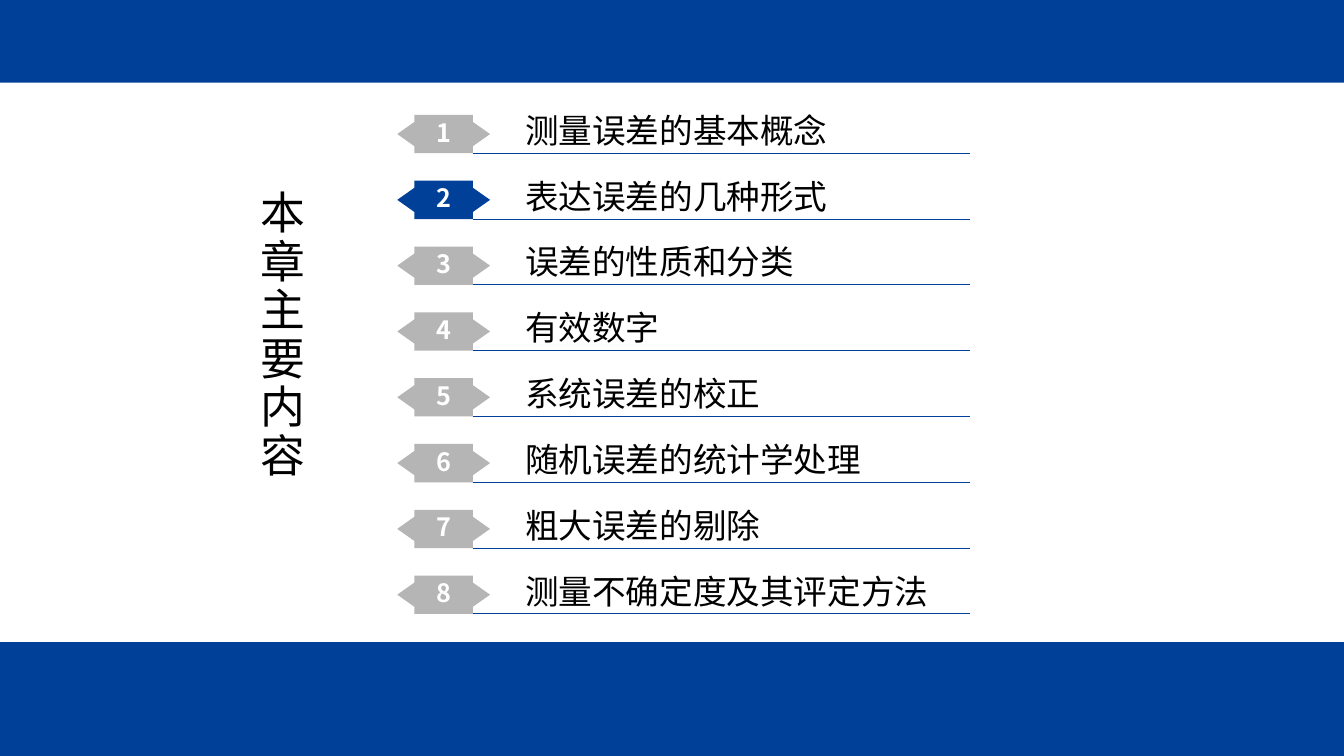
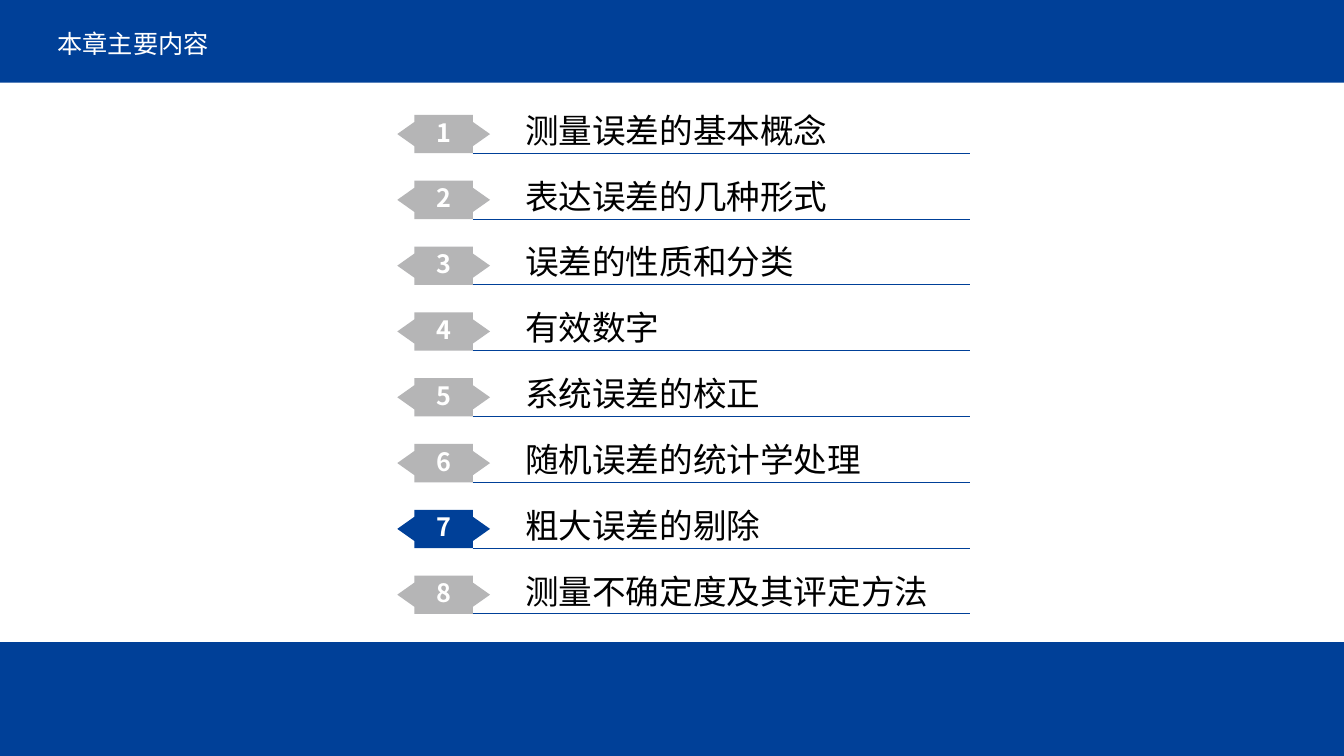
from lxml import etree
from pptx import Presentation
from pptx.dml.color import RGBColor
from pptx.enum.shapes import MSO_CONNECTOR, MSO_SHAPE
from pptx.enum.text import MSO_ANCHOR, MSO_AUTO_SIZE, PP_ALIGN
from pptx.oxml.ns import qn
from pptx.util import Inches, Pt

RECT = MSO_SHAPE.RECTANGLE
STRAIGHT = MSO_CONNECTOR.STRAIGHT
MIDDLE, TOP = MSO_ANCHOR.MIDDLE, MSO_ANCHOR.TOP
LEFT, CENTER = PP_ALIGN.LEFT, PP_ALIGN.CENTER
NO_FIT = MSO_AUTO_SIZE.NONE

COLORS = {"blue": "004098", "gray": "B5B5B6", "white": "FFFFFF", "black": "000000"}
LATIN, CJK = "Times New Roman", "Noto Sans CJK SC"
SLIDE_W, SLIDE_H = 13.33, 7.5
TITLE_ONLY = 5

HEADING = "本章主要内容"
TOPICS = [
    "测量误差的基本概念",
    "表达误差的几种形式",
    "误差的性质和分类",
    "有效数字",
    "系统误差的校正",
    "随机误差的统计学处理",
    "粗大误差的剔除",
    "测量不确定度及其评定方法",
]
AGENDA_BOX = (3.94, 1.14, 5.68, 4.95)
BADGE_W, BADGE_H = 0.92, 0.38
TIP_W, NOTCH_H = 0.17, 0.07


def rgb(name):
    return RGBColor.from_string(COLORS[name])


def paint(sp, color):
    sp.fill.solid()
    sp.fill.fore_color.rgb = rgb(color)
    sp.line.fill.background()
    sp.shadow.inherit = False


def write(sp, text, size, color, font=LATIN, bold=False, align=LEFT, anchor=MIDDLE,
          spacing=None):
    tf = sp.text_frame
    tf.text = text
    tf.word_wrap = True
    tf.auto_size = NO_FIT
    tf.vertical_anchor = anchor
    tf.margin_left = tf.margin_right = Inches(0.1)
    tf.margin_top = tf.margin_bottom = Inches(0.05)
    p = tf.paragraphs[0]
    p.alignment = align
    p.line_spacing = spacing
    r = p.runs[0]
    r.font.size = Pt(size)
    r.font.bold = bold
    r.font.color.rgb = rgb(color)
    r.font.name = font
    ea = etree.SubElement(r.font._element, qn("a:ea"))
    ea.set("typeface", CJK)


def add_layout_bands(slide):
    """Draw the top and bottom bands and move them to the slide's layout."""
    tree = slide.slide_layout.shapes.element
    for n, (top, height) in enumerate([(0, 0.82), (6.37, SLIDE_H - 6.37)]):
        sp = slide.shapes.add_shape(RECT, 0, Inches(top), Inches(SLIDE_W), Inches(height))
        paint(sp, "blue")
        sp.element.nvSpPr.cNvPr.set("id", str(100 + n))
        tree.insert(2 + n, sp.element)


def set_title(slide, box, size, color, spacing):
    sp = slide.shapes.title
    sp.left, sp.top, sp.width, sp.height = map(Inches, box)
    write(sp, HEADING, size, color, spacing=spacing)


def add_badge(shapes, x, y, number, color):
    """A numbered block with a pointed tip on each side."""
    left, right = x + TIP_W, x + BADGE_W - TIP_W
    mid, bottom = y + BADGE_H / 2, y + BADGE_H
    upper, lower = y + NOTCH_H, bottom - NOTCH_H
    outline = [(left, y), (left, upper), (x, mid), (left, lower), (left, bottom),
               (right, bottom), (right, lower), (x + BADGE_W, mid), (right, upper)]
    builder = shapes.build_freeform(Inches(right), Inches(y))
    builder.add_line_segments([(Inches(px), Inches(py)) for px, py in outline])
    sp = builder.convert_to_shape()
    paint(sp, color)
    write(sp, str(number), 18, "white", font=CJK, bold=True, align=CENTER)
    sp.text_frame.margin_top = 0
    sp.text_frame.margin_bottom = Inches(0.04)


def add_topic(slide, x, y, width, number, text, color):
    shapes = slide.shapes.add_group_shape().shapes
    add_badge(shapes, x, y, number, color)
    base = Inches(y + BADGE_H)
    rule = shapes.add_connector(STRAIGHT, Inches(x + BADGE_W - TIP_W), base,
                                Inches(x + width), base)
    rule.line.color.rgb = rgb("blue")
    rule.line.width = Pt(0.5)
    etree.SubElement(rule.element.spPr, qn("a:effectLst"))
    label = shapes.add_textbox(Inches(x + 1.17), Inches(y - 0.1), Inches(4.8), Inches(0.5))
    write(label, text, 24, "black", anchor=TOP)


def add_agenda(slide, box, current):
    x, y, width, height = box
    pitch = (height - BADGE_H) / (len(TOPICS) - 1)
    for i, text in enumerate(TOPICS):
        color = "blue" if i + 1 == current else "gray"
        add_topic(slide, x, y + i * pitch, width, i + 1, text, color)


def main():
    prs = Presentation()
    prs.slide_width, prs.slide_height = Inches(SLIDE_W), Inches(SLIDE_H)
    layout = prs.slide_layouts[TITLE_ONLY]

    side_title = ((2.48, 1.79, 0.59, 3.08), 32, "black", Pt(34.6))
    band_title = ((0.47, 0.26, 9.44, 0.37), 18, "white", 0.9)
    for current, title in [(2, side_title), (7, band_title)]:
        slide = prs.slides.add_slide(layout)
        set_title(slide, *title)
        add_agenda(slide, AGENDA_BOX, current)
    add_layout_bands(slide)

    prs.save("out.pptx")


if __name__ == "__main__":
    main()
